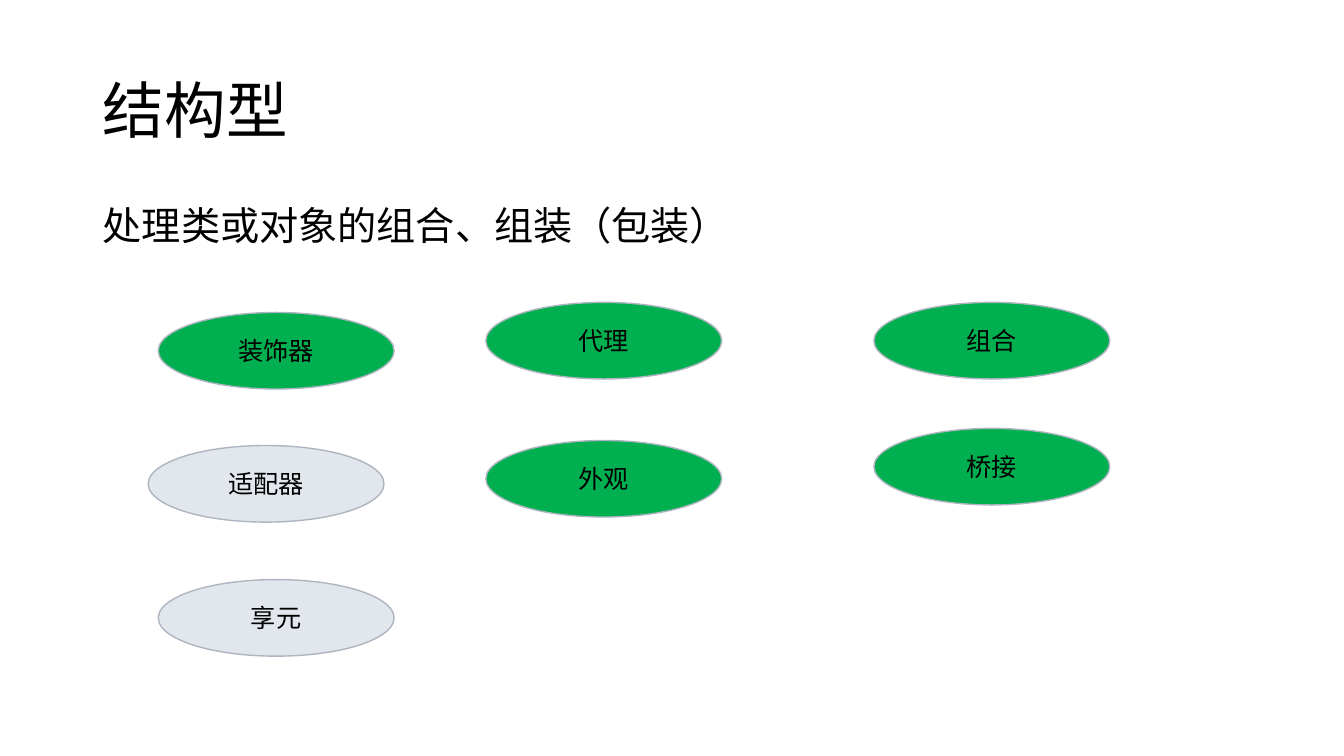
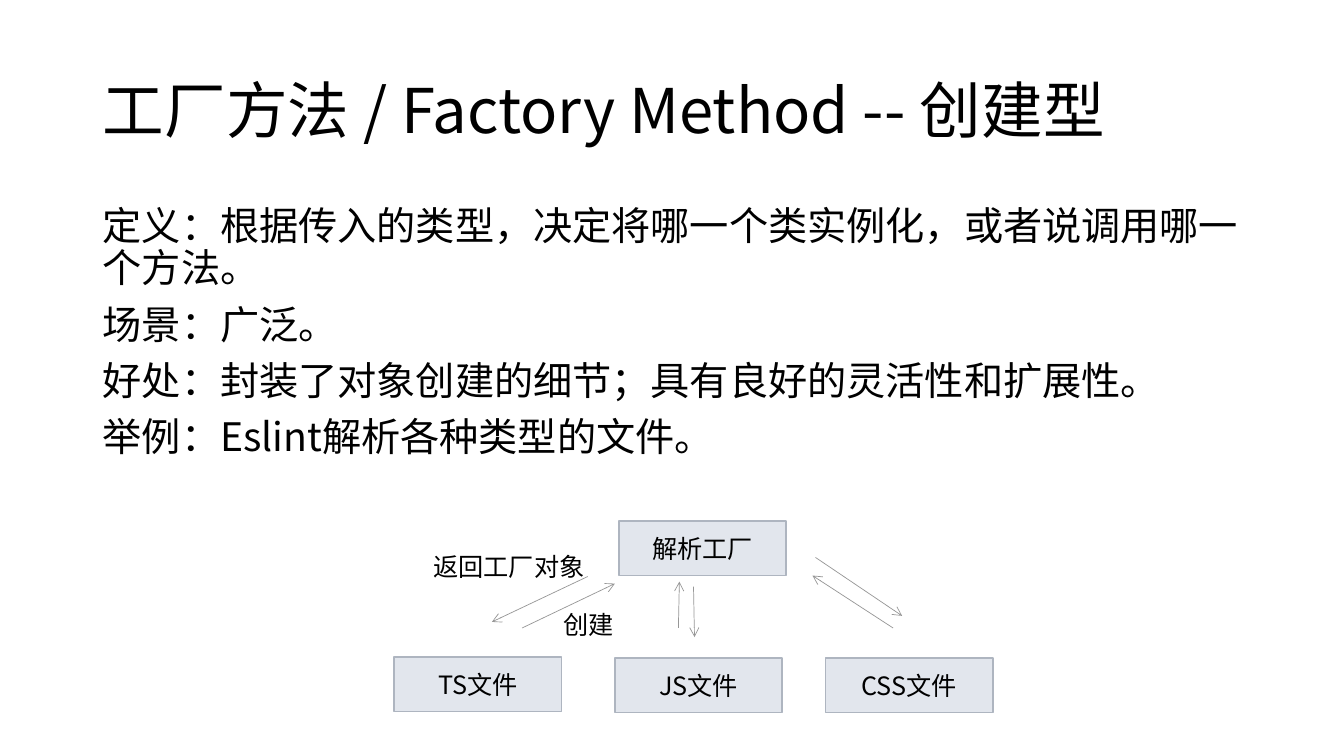
from dataclasses import dataclass
from typing import NamedTuple

from lxml import etree
from pptx import Presentation
from pptx.dml.color import RGBColor
from pptx.enum.lang import MSO_LANGUAGE_ID
from pptx.enum.shapes import MSO_CONNECTOR, MSO_SHAPE
from pptx.enum.text import MSO_ANCHOR, MSO_AUTO_SIZE, PP_ALIGN
from pptx.oxml.ns import qn
from pptx.util import Inches, Pt

ELLIPSE, RECTANGLE = MSO_SHAPE.OVAL, MSO_SHAPE.RECTANGLE
STRAIGHT = MSO_CONNECTOR.STRAIGHT
LEFT, CENTER = PP_ALIGN.LEFT, PP_ALIGN.CENTER
TOP, MIDDLE = MSO_ANCHOR.TOP, MSO_ANCHOR.MIDDLE
NO_FIT = MSO_AUTO_SIZE.NONE
CHINESE = MSO_LANGUAGE_ID.SIMPLIFIED_CHINESE
TITLE_AND_CONTENT = 1


@dataclass(frozen=True)
class Theme:
    font: str = "Noto Sans CJK SC"
    text: RGBColor = RGBColor.from_string("000000")
    pale: RGBColor = RGBColor.from_string("E2E6ED")
    green: RGBColor = RGBColor.from_string("00B050")
    outline: RGBColor = RGBColor.from_string("AEB5C0")
    arrow: RGBColor = RGBColor.from_string("979797")
    title_size: int = 44
    body_size: int = 28
    label_size: int = 18
    outline_width: float = 1
    arrow_width: float = 0.5


THEME = Theme()


class Area(NamedTuple):
    """Left, top, width and height in grid units."""
    column: float
    row: float
    columns: float
    rows: float


class Node(NamedTuple):
    text: str
    column: float
    row: float
    fill: RGBColor = THEME.pale


class Label(NamedTuple):
    text: str
    area: Area


class Arrow(NamedTuple):
    start: tuple[float, float]
    end: tuple[float, float]


# Grid: ten columns and ten rows to the inch
UNITS_PER_INCH = 10
SLIDE_COLUMNS, SLIDE_ROWS = 133.33, 75
TITLE_AREA = Area(9.2, 4, 115, 14.5)
BODY_AREA = Area(9.2, 20, 115, 47.6)
OVAL_SIZE = (23.4, 7.6)
BOX_SIZE = (16.6, 5.4)

# Structural patterns
FIRST, SECOND, THIRD = 15.7, 48.2, 86.7
PATTERNS = [
    Node("装饰器", FIRST, 31, THEME.green),
    Node("适配器", FIRST - 1, 44.2),
    Node("享元", FIRST, 57.5),
    Node("代理", SECOND, 30, THEME.green),
    Node("外观", SECOND, 43.7, THEME.green),
    Node("组合", THIRD, 30, THEME.green),
    Node("桥接", THIRD, 42.5, THEME.green),
]

# Factory method
FACTORY_POINTS = [
    "定义：根据传入的类型，决定将哪一个类实例化，或者说调用哪一个方法。",
    "场景：广泛。",
    "好处：封装了对象创建的细节；具有良好的灵活性和扩展性。",
    "举例：Eslint解析各种类型的文件。",
]
FACTORY_BOXES = [
    Node("解析工厂", 61.4, 51.7),
    Node("TS文件", 39.1, 65.2),
    Node("JS文件", 61, 65.3),
    Node("CSS文件", 81.9, 65.3),
]
FACTORY_LABELS = [
    Label("返回工厂对象", Area(42, 54.2, 33.9, 4)),
    Label("创建", Area(54.9, 60, 8, 4)),
]
FACTORY_ARROWS = [
    Arrow((58.3, 57.2), (48.8, 61.7)),
    Arrow((51.8, 62.3), (61, 57.9)),
    Arrow((68.8, 58.2), (68.9, 63.2)),
    Arrow((67.3, 62.3), (67.4, 57.7)),
    Arrow((80.9, 55.3), (89.5, 61.1)),
    Arrow((88.6, 62.3), (80.6, 57.1)),
]


def grid(units: float) -> int:
    return Inches(units / UNITS_PER_INCH)


def place(shape, area: Area) -> None:
    for name, units in zip(("left", "top", "width", "height"), area):
        setattr(shape, name, grid(units))


def write(shape, lines: list[str], size: int, frame_format: dict, para_format: dict) -> None:
    """Fill a text frame with one paragraph per line."""
    frame = shape.text_frame
    for name, value in ({"word_wrap": True, "auto_size": NO_FIT} | frame_format).items():
        setattr(frame, name, value)
    font_format = {"name": THEME.font, "size": Pt(size), "language_id": CHINESE}
    for index, line in enumerate(lines):
        para = frame.add_paragraph() if index else frame.paragraphs[0]
        for name, value in para_format.items():
            setattr(para, name, value)
        span = para.add_run()
        span.text = line
        for name, value in font_format.items():
            setattr(span.font, name, value)
        span.font.color.rgb = THEME.text
        # East Asian typeface
        east_asian = etree.SubElement(span.font._element, qn("a:ea"))
        east_asian.set("typeface", THEME.font)


def remove_bullets(shape) -> None:
    for para in shape.text_frame.paragraphs:
        properties = para._p.get_or_add_pPr()
        properties.set("marL", "0")
        properties.set("indent", "0")
        etree.SubElement(properties, qn("a:buNone"))


def add_page(deck, title: str, points: list[str]):
    page = deck.slides.add_slide(deck.slide_layouts[TITLE_AND_CONTENT])
    heading, body = page.shapes.title, page.placeholders[1]
    place(heading, TITLE_AREA)
    place(body, BODY_AREA)
    write(heading, [title], THEME.title_size, {"vertical_anchor": MIDDLE},
          {"alignment": LEFT, "line_spacing": 0.9, "space_before": Pt(0)})
    write(body, points, THEME.body_size, {"vertical_anchor": TOP},
          {"alignment": LEFT, "line_spacing": 0.9, "space_before": Pt(10)})
    remove_bullets(body)
    return page


def add_node(page, node: Node, kind: MSO_SHAPE, size: tuple[float, float]) -> None:
    area = Area(node.column, node.row, *size)
    shape = page.shapes.add_shape(kind, *map(grid, area))
    shape.shadow.inherit = False
    shape.fill.solid()
    shape.fill.fore_color.rgb = node.fill
    shape.line.color.rgb = THEME.outline
    shape.line.width = Pt(THEME.outline_width)
    write(shape, [node.text], THEME.label_size, {"vertical_anchor": MIDDLE},
          {"alignment": CENTER})


def add_label(page, label: Label) -> None:
    box = page.shapes.add_textbox(*map(grid, label.area))
    write(box, [label.text], THEME.label_size, {"vertical_anchor": TOP},
          {"alignment": LEFT})


def add_arrow(page, arrow: Arrow) -> None:
    connector = page.shapes.add_connector(STRAIGHT, *map(grid, arrow.start + arrow.end))
    connector.line.color.rgb = THEME.arrow
    connector.line.width = Pt(THEME.arrow_width)
    properties = connector._element.spPr
    head = etree.SubElement(properties.find(qn("a:ln")), qn("a:tailEnd"))
    head.set("type", "arrow")
    etree.SubElement(properties, qn("a:effectLst"))


def main() -> None:
    deck = Presentation()
    deck.slide_width, deck.slide_height = grid(SLIDE_COLUMNS), grid(SLIDE_ROWS)

    # Structural patterns: overview of ovals
    overview = add_page(deck, "结构型", ["处理类或对象的组合、组装（包装）"])
    for pattern in PATTERNS:
        add_node(overview, pattern, ELLIPSE, OVAL_SIZE)

    # Factory method: definition and diagram
    factory = add_page(deck, "工厂方法 / Factory Method -- 创建型", FACTORY_POINTS)
    for box in FACTORY_BOXES:
        add_node(factory, box, RECTANGLE, BOX_SIZE)
    for label in FACTORY_LABELS:
        add_label(factory, label)
    for arrow in FACTORY_ARROWS:
        add_arrow(factory, arrow)

    deck.save("out.pptx")


if __name__ == "__main__":
    main()
